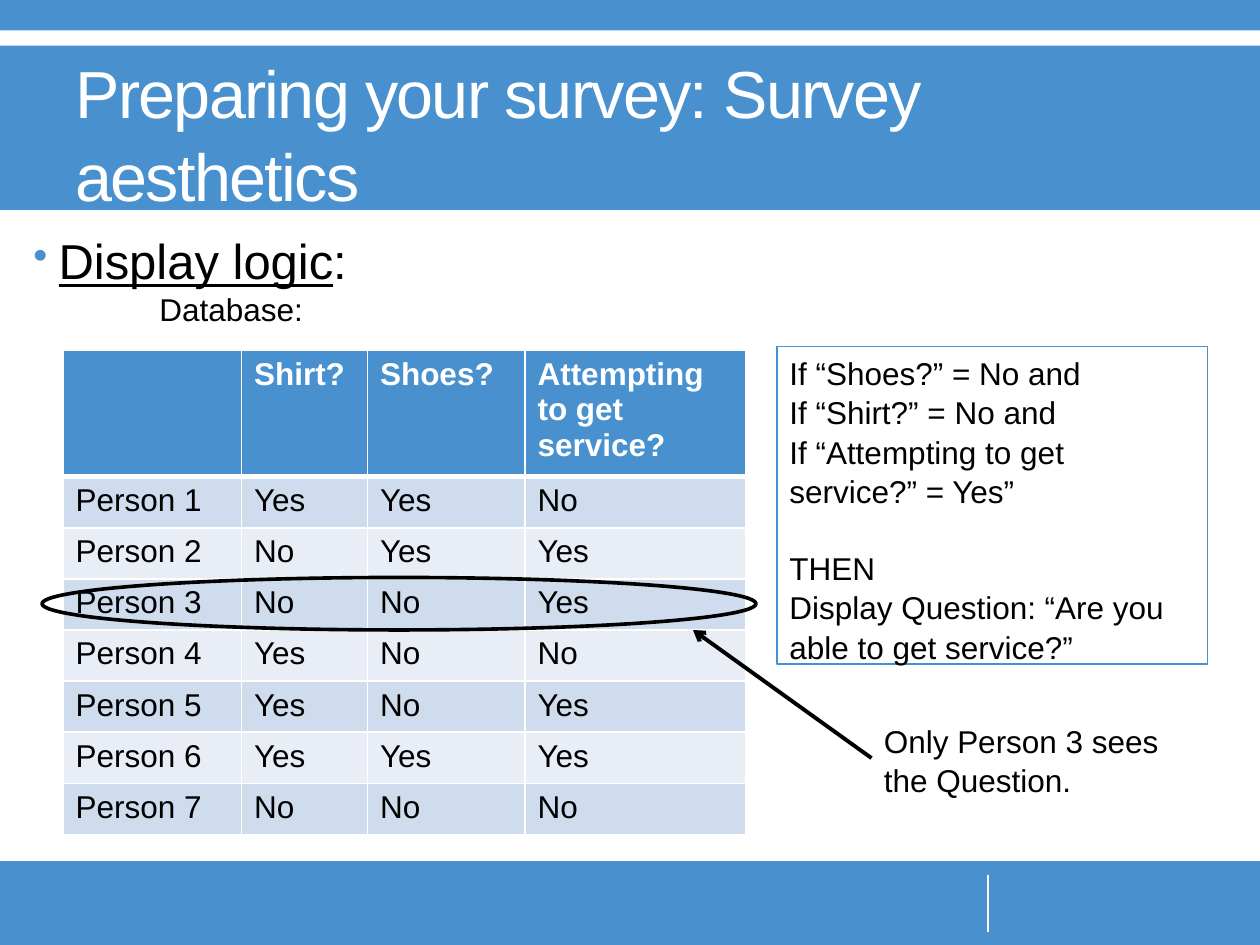
"""Build the survey display logic slide with its database table and rule box."""
from lxml import etree
from pptx import Presentation, util as u
from pptx.dml.color import RGBColor
from pptx.enum import shapes, text
from pptx.oxml import ns

BLUE = RGBColor(0x48, 0x91, 0xCE)
WHITE = RGBColor(0xFF, 0xFF, 0xFF)
BLACK = RGBColor(0, 0, 0)
BANDS = [RGBColor(0xE9, 0xEE, 0xF6), RGBColor(0xCF, 0xDC, 0xED)]
UNIT = u.Inches(10) / 120
BODY = {"name": "Arial", "size": u.Pt(18), "bold": False}
LOOSE = {"line_spacing": 1.04}


def grid(*lengths):
    return [round(length * UNIT) for length in lengths]


def write(paragraph, words, color=BLACK, spacing=None, **changes):
    run = paragraph.add_run()
    run.text = words
    for name, value in {**BODY, **changes}.items():
        setattr(run.font, name, value)
    run.font.color.rgb = color
    for name, value in (spacing or {}).items():
        setattr(paragraph, name, value)
    return run


presentation = Presentation()
presentation.slide_width, presentation.slide_height = grid(120, 90)
slide = presentation.slides.add_slide(presentation.slide_layouts[6])

for top, height, color in [(0, 20, BLUE), (2.9, 1.45, WHITE), (82, 8, BLUE)]:
    bar = slide.shapes.add_shape(shapes.MSO_SHAPE.RECTANGLE, *grid(0, top, 120, height))
    bar.shadow.inherit = False
    bar.fill.solid()
    bar.fill.fore_color.rgb = color
    bar.line.fill.background()

title = slide.shapes.add_textbox(*grid(6, 6.1, 108, 13)).text_frame
title.word_wrap = True
title.vertical_anchor = text.MSO_ANCHOR.MIDDLE
heading = write(title.paragraphs[0], "Preparing your survey: Survey aesthetics",
                WHITE, LOOSE, size=u.Pt(38))
heading._r.get_or_add_rPr().set("spc", "-100")

body = slide.shapes.add_textbox(*grid(2, 21.4, 115, 10)).text_frame
body.word_wrap = True
topic = body.paragraphs[0]
write(topic, "Display logic", size=u.Pt(28), underline=True)
write(topic, ":", size=u.Pt(28))
properties = topic._p.get_or_add_pPr()
properties.set("marL", str(u.Inches(0.2)))
properties.set("indent", str(-u.Inches(0.2)))
bullet_color = etree.SubElement(properties, ns.qn("a:buClr"))
etree.SubElement(bullet_color, ns.qn("a:srgbClr"), val=str(BLUE))
etree.SubElement(properties, ns.qn("a:buSzPct"), val="85000")
etree.SubElement(properties, ns.qn("a:buChar"), char="•")
database = body.add_paragraph()
write(database, "Database:")
database._p.get_or_add_pPr().set("marL", str(u.Inches(1)))

rule_box = slide.shapes.add_shape(shapes.MSO_SHAPE.RECTANGLE, *grid(74, 33, 41, 30.25))
rule_box.shadow.inherit = False
rule_box.fill.background()
rule_box.line.color.rgb = BLUE
rule_box.line.width = u.Pt(0.75)
rule_frame = rule_box.text_frame
rule_frame.word_wrap = True
rule_frame.vertical_anchor = text.MSO_ANCHOR.TOP
rules = [
    ("If “Shoes?” = No and", 0),
    ("If “Shirt?” = No and", 0),
    ("If “Attempting to get service?” = Yes”", 0),
    ("THEN", 21.5),
    ("Display Question: “Are you able to get service?”", 0),
]
for index, (words, gap) in enumerate(rules):
    paragraph = rule_frame.add_paragraph() if index else rule_frame.paragraphs[0]
    write(paragraph, words, spacing={**LOOSE, "space_before": u.Pt(gap),
                                     "alignment": text.PP_ALIGN.LEFT})

records = [
    ["", "Shirt?", "Shoes?", "Attempting to get service?"],
    ["Person 1", "Yes", "Yes", "No"],
    ["Person 2", "No", "Yes", "Yes"],
    ["Person 3", "No", "No", "Yes"],
    ["Person 4", "Yes", "No", "No"],
    ["Person 5", "Yes", "No", "Yes"],
    ["Person 6", "Yes", "Yes", "Yes"],
    ["Person 7", "No", "No", "No"],
]
table = slide.shapes.add_table(len(records), 4, *grid(6, 33.4, 65, 46)).table
for column, width in zip(table.columns, grid(17, 12, 15, 21)):
    column.width = width
for row, height in zip(table.rows, grid(11.9, *[4.87] * 7)):
    row.height = height
for row, record in enumerate(records):
    for column, words in enumerate(record):
        cell = table.cell(row, column)
        cell_properties = cell._tc.get_or_add_tcPr()
        for side in "LRTB":
            thick = (row, side) in [(0, "B"), (1, "T")]
            border = etree.SubElement(cell_properties, ns.qn(f"a:ln{side}"),
                                      w=str(u.Pt(3 if thick else 1)))
            border_fill = etree.SubElement(border, ns.qn("a:solidFill"))
            etree.SubElement(border_fill, ns.qn("a:srgbClr"), val=str(WHITE))
        cell.fill.solid()
        cell.fill.fore_color.rgb = BANDS[row % 2] if row else BLUE
        if words:
            write(cell.text_frame.paragraphs[0], words,
                  BLACK if row else WHITE, bold=row == 0)

highlight = slide.shapes.add_shape(shapes.MSO_SHAPE.OVAL, *grid(4, 55, 68, 5))
highlight.shadow.inherit = False
highlight.fill.background()
highlight.line.color.rgb = BLACK
highlight.line.width = u.Pt(2.08)

lines = [
    ((94.1, 83.3, 94.1, 88.8), WHITE, 1.5, None),
    ((83, 72.2, 66, 60), BLACK, 2.25, "arrow"),
]
for ends, color, width, arrowhead in lines:
    line = slide.shapes.add_connector(shapes.MSO_CONNECTOR.STRAIGHT, *grid(*ends))
    line.line.color.rgb = color
    line.line.width = u.Pt(width)
    if arrowhead:
        etree.SubElement(line.line._get_or_add_ln(), ns.qn("a:tailEnd"), type=arrowhead)
    etree.SubElement(line._element.spPr, ns.qn("a:effectLst"))

note = slide.shapes.add_textbox(*grid(83, 68, 30, 8.5)).text_frame
note.word_wrap = True
write(note.paragraphs[0], "Only Person 3 sees the Question.", spacing=LOOSE)

presentation.save("out.pptx")
